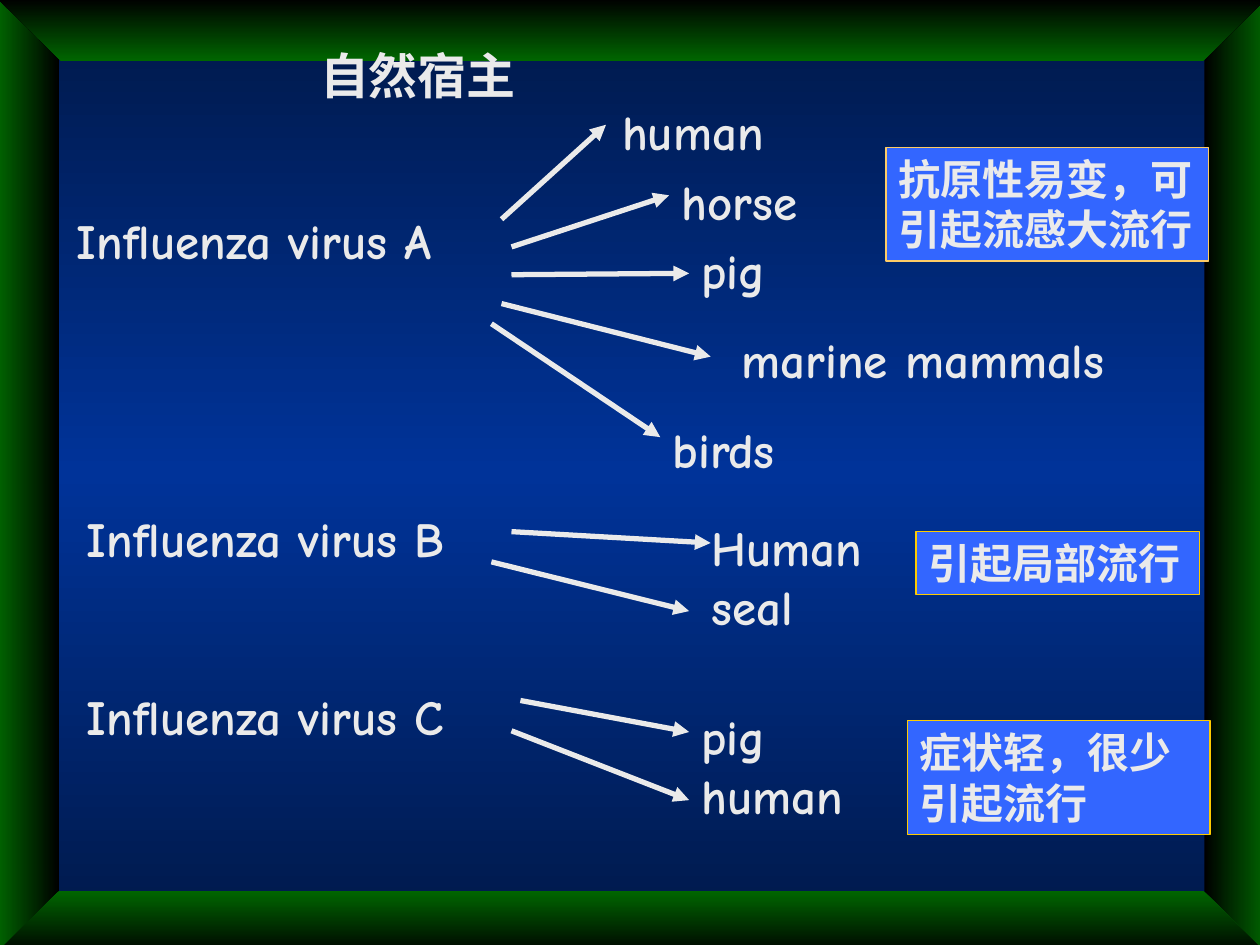
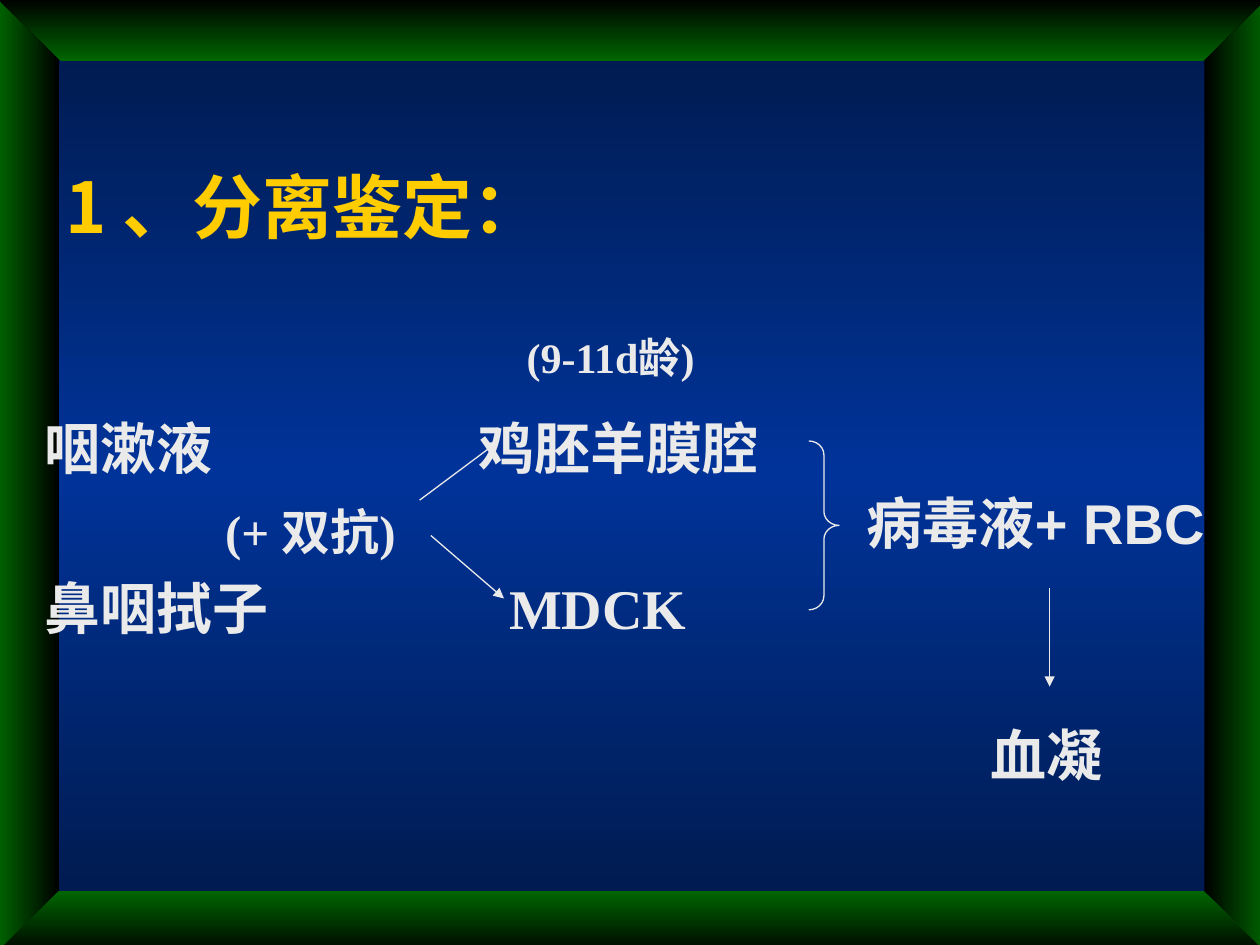
import copy
from dataclasses import dataclass
from typing import NamedTuple

import pptx
import pptx.dml.color
import pptx.enum.shapes
import pptx.enum.text
import pptx.oxml
import pptx.oxml.ns
import pptx.util

Pt = pptx.util.Pt
Preset = pptx.enum.shapes.MSO_SHAPE

COLORS = {
    "navy": "001847",
    "blue": "003399",
    "green": "006600",
    "black": "000000",
    "text": "EAEAEA",
    "heading": "FFCC00",
    "callout": "3366FF",
    "pale_gold": "FFCC66",
    "gold": "FFCC00",
}
COMIC, SERIF, SANS, CJK = "Comic Neue", "Times New Roman", "Arial", "Noto Sans CJK SC"
EAST_ASIAN = {SERIF: SANS}  # Chinese text stays sans serif beside serif Latin
LINE_RATIO = 1.2


class Box(NamedTuple):
    left: float
    top: float
    width: float
    height: float

    def emu(self) -> list:
        return [Pt(value) for value in self]


class Arrow(NamedTuple):
    x1: float
    y1: float
    x2: float
    y2: float


@dataclass
class Label:
    text: str
    box: Box
    size: float = 28
    font: str = COMIC
    color: str = "text"
    border: str = ""  # a border colour makes the label a filled callout


@dataclass
class SampleRow:
    text: str
    indent: float
    size: float
    space_before: float


# The frame: side bars first, then the mitred top and bottom bars.
SIDE_BARS = [
    (Box(688.3, -0.7, 36, 545.8), ["black", "green"]),
    (Box(-2.2, -0.7, 36, 545.8), ["green", "black"]),
]
MITRED_BARS = [
    ([(-1.4, -0.7), (35.3, 35.1), (687, 35.1), (723.6, -0.7)], ["black", "green"]),
    ([(-2.9, 545.8), (33.8, 509), (687.6, 509), (724.3, 545.8)], ["green", "black"]),
]

HOST_TITLE = Label("自然宿主", Box(175.7, 22.3, 140, 41), font=SERIF)
HOST_LABELS = [
    Label("Influenza virus A", Box(36.7, 116.6, 282, 41)),
    Label("Influenza virus B", Box(42.5, 287.3, 276, 41)),
    Label("Influenza virus C", Box(42.5, 388.8, 269, 41)),
    Label("human", Box(348.5, 54.7, 150, 41)),
    Label("horse", Box(382.3, 94.3, 126, 41)),
    Label("pig", Box(393.8, 133.9, 137.5, 41)),
    Label("marine mammals", Box(416.9, 185, 230, 41)),
    Label("birds", Box(377.3, 236.2, 119, 41)),
    Label("Human\nseal", Box(399.6, 292.3, 150, 75)),
    Label("pig\nhuman", Box(393.8, 400.3, 180, 75)),
    Label("抗原性易变，可引起流感大流行", Box(506.2, 84.2, 184.5, 65), 24, SERIF, border="pale_gold"),
    Label("引起局部流行", Box(523.4, 303.8, 162, 36), 24, border="gold"),
    Label("症状轻，很少引起流行", Box(518.4, 411.8, 173, 65), 24, SERIF, border="gold"),
]
HOST_ARROWS = [
    Arrow(286.6, 125.3, 346.3, 71.3),
    Arrow(292.3, 141.1, 382.3, 111.6),
    Arrow(292.3, 157, 393.8, 156.2),
    Arrow(286.6, 173.5, 406.1, 203.8),
    Arrow(280.8, 185, 377.3, 249.8),
    Arrow(292.3, 303.8, 406.1, 310.3),
    Arrow(280.8, 321.1, 393.8, 349.2),
    Arrow(297.4, 400.3, 393.8, 418.3),
    Arrow(292.3, 417.6, 393.8, 457.2),
]

ISOLATION_TITLE = Label("1 、分离鉴定：", Box(30.2, 89.8, 306, 55.4), 40, CJK, "heading")
SAMPLES_BOX = Box(18, 233.3, 240, 140)
SAMPLE_ROWS = [
    SampleRow("咽漱液", 0, 32, 0),
    SampleRow("(+ 双抗)", 103.5, 28, 7),
    SampleRow("鼻咽拭子", 0, 32, 8),
]
ISOLATION_LABELS = [
    Label("鸡胚羊膜腔", Box(266.5, 232.9, 185, 46), 32, SERIF),
    Label("MDCK", Box(283.8, 324.3, 150, 46), 32, SERIF),
    Label("病毒液+ RBC", Box(488.2, 275.8, 231.8, 46), 32, SANS),
    Label("血凝", Box(558.7, 408.2, 161.3, 46), 32, SANS),
    Label("(9-11d龄)", Box(293.8, 185.8, 156, 36), 24, SERIF),
]
ISOLATION_ARROWS = [
    Arrow(239.8, 285.8, 285.1, 252),
    Arrow(246.2, 306, 288, 342),
    Arrow(599.8, 336.2, 599.8, 392.4),
]
CULTURE_BRACE = Box(462.2, 252, 17.3, 96.5)


def rgb(name: str) -> pptx.dml.color.RGBColor:
    return pptx.dml.color.RGBColor.from_string(COLORS[name])


def assign(target, values: dict) -> None:
    for attribute, value in values.items():
        setattr(target, attribute, value)


def fill_gradient(fill, names: list, clockwise: float) -> None:
    """Spread the named colours evenly along the given direction."""
    fill.gradient()
    fill.gradient_angle = (360 - clockwise) % 360
    last = fill.gradient_stops[-1]._gs
    for _ in names[2:]:
        last.addnext(copy.deepcopy(last))
    for index, (stop, name) in enumerate(zip(fill.gradient_stops, names)):
        stop.color.rgb = rgb(name)
        stop.position = index / (len(names) - 1)


def add_xml(parent, tag: str, **attributes: str) -> None:
    child = pptx.oxml.parse_xml(f"<{tag} {pptx.oxml.ns.nsdecls('a')}/>")
    for key, value in attributes.items():
        child.set(key, value)
    parent.append(child)


def build_master(prs, scratch) -> None:
    """Draw the frame on a slide, then move it to the shared master."""
    master = prs.slide_master
    fill_gradient(master.background.fill, ["navy", "blue", "navy"], 90)
    bars = []
    for box, names in SIDE_BARS:
        bars.append((scratch.shapes.add_shape(Preset.RECTANGLE, *box.emu()), names, 0))
    for points, names in MITRED_BARS:
        corners = [(Pt(x), Pt(y)) for x, y in points]
        builder = scratch.shapes.build_freeform(*corners[0])
        builder.add_line_segments(corners[1:], close=True)
        bars.append((builder.convert_to_shape(), names, 90))
    for index, (bar, names, direction) in enumerate(bars):
        fill_gradient(bar.fill, names, direction)
        bar.line.fill.background()
        bar.shadow.inherit = False
        bar.element.nvSpPr.cNvPr.set("id", str(100 + index))
        master.shapes.element.insert(2 + index, bar.element)


def format_paragraph(paragraph, size: float, font: str, color: str) -> None:
    assign(paragraph, {
        "alignment": pptx.enum.text.PP_ALIGN.LEFT,
        "line_spacing": Pt(round(size * LINE_RATIO, 1)),
    })
    for run in paragraph.runs:
        assign(run.font, {"size": Pt(size), "bold": True, "name": font})
        run.font.color.rgb = rgb(color)
        add_xml(run.font._element, "a:ea", typeface=EAST_ASIAN.get(font, font))


def prepare_frame(shape, box: Box) -> None:
    assign(shape, dict(zip(("left", "top", "width", "height"), box.emu())))
    assign(shape.text_frame, {
        "word_wrap": True,
        "auto_size": pptx.enum.text.MSO_AUTO_SIZE.NONE,
        "vertical_anchor": pptx.enum.text.MSO_ANCHOR.TOP,
    })


def write_label(shape, label: Label) -> None:
    prepare_frame(shape, label.box)
    shape.text_frame.text = label.text
    for paragraph in shape.text_frame.paragraphs:
        format_paragraph(paragraph, label.size, label.font, label.color)


def outline(shape, color: str) -> None:
    shape.shadow.inherit = False
    shape.line.color.rgb = rgb(color)
    shape.line.width = Pt(0.75)


def add_label(slide, label: Label) -> None:
    if label.border:
        shape = slide.shapes.add_shape(Preset.RECTANGLE, *label.box.emu())
        shape.fill.solid()
        shape.fill.fore_color.rgb = rgb("callout")
        outline(shape, label.border)
    else:
        shape = slide.shapes.add_textbox(*label.box.emu())
    write_label(shape, label)


def add_arrow(slide, arrow: Arrow, weight: float) -> None:
    connector = slide.shapes.add_connector(
        pptx.enum.shapes.MSO_CONNECTOR.STRAIGHT, *[Pt(value) for value in arrow])
    connector.line.color.rgb = rgb("text")
    connector.line.width = Pt(weight)
    add_xml(connector.get_or_add_ln(), "a:tailEnd", type="triangle")
    add_xml(connector.element.spPr, "a:effectLst")


def write_samples(body) -> None:
    prepare_frame(body, SAMPLES_BOX)
    body.text_frame.text = "\n".join(row.text for row in SAMPLE_ROWS)
    for paragraph, row in zip(body.text_frame.paragraphs, SAMPLE_ROWS):
        properties = paragraph._p.get_or_add_pPr()
        properties.set("marL", str(Pt(row.indent)))
        properties.set("indent", "0")
        add_xml(properties, "a:buNone")
        format_paragraph(paragraph, row.size, SERIF, "text")
        assign(paragraph, {"line_spacing": Pt(38), "space_before": Pt(row.space_before)})


def add_brace(slide, box: Box) -> None:
    brace = slide.shapes.add_shape(Preset.RIGHT_BRACE, *box.emu())
    brace.adjustments[0] = 0.46
    brace.fill.background()
    outline(brace, "text")


def add_slide(prs, layout: int, title: Label, labels: list, arrows: list, weight: float):
    slide = prs.slides.add_slide(prs.slide_layouts[layout])
    write_label(slide.shapes.title, title)
    for label in labels:
        add_label(slide, label)
    for arrow in arrows:
        add_arrow(slide, arrow, weight)
    return slide


def main() -> None:
    prs = pptx.Presentation()
    assign(prs, {"slide_width": Pt(720), "slide_height": Pt(540)})
    hosts = add_slide(prs, 5, HOST_TITLE, HOST_LABELS, HOST_ARROWS, 3)
    build_master(prs, hosts)
    isolation = add_slide(prs, 1, ISOLATION_TITLE, ISOLATION_LABELS, ISOLATION_ARROWS, 0.75)
    write_samples(isolation.placeholders[1])
    add_brace(isolation, CULTURE_BRACE)
    prs.save("out.pptx")


if __name__ == "__main__":
    main()
